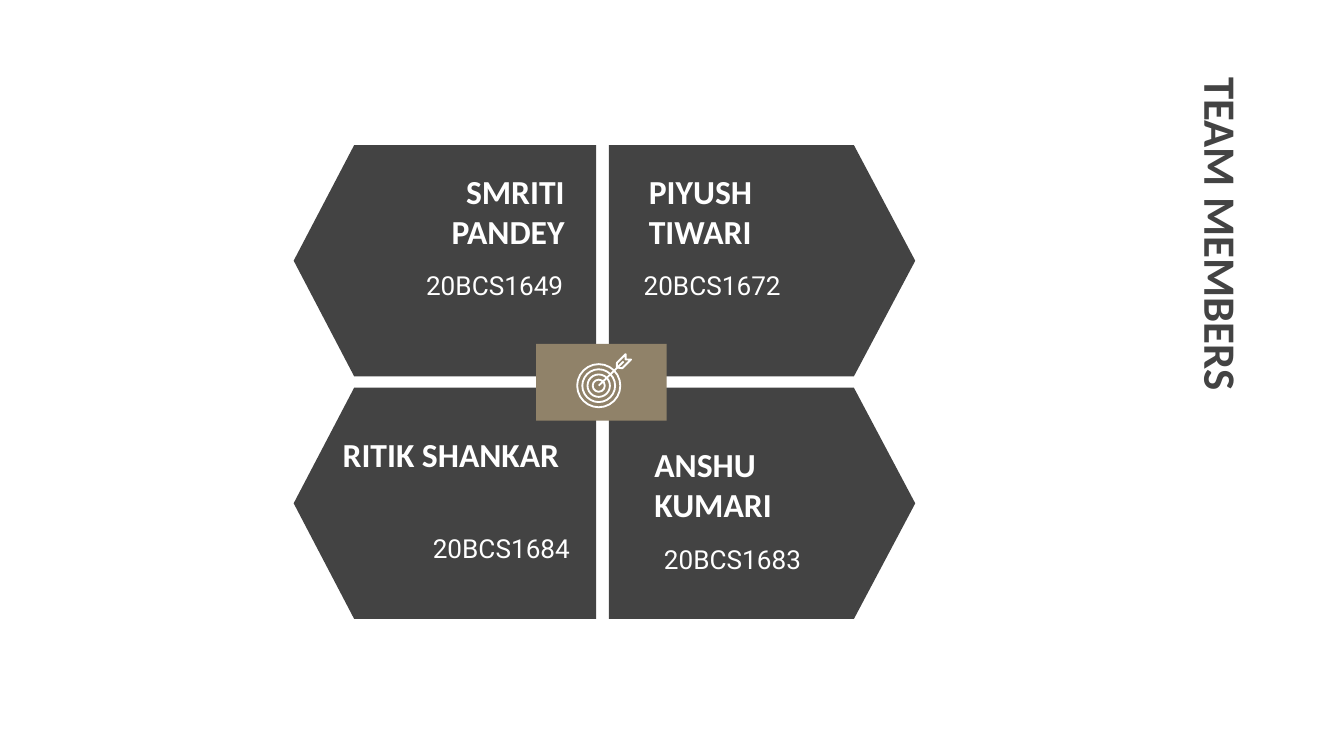
"""Build a slide that shows four team members around a target badge."""
from lxml import etree
from pptx import Presentation
from pptx.dml.color import RGBColor
from pptx.enum.shapes import MSO_CONNECTOR, MSO_SHAPE
from pptx.enum.text import MSO_ANCHOR, MSO_AUTO_SIZE, PP_ALIGN
from pptx.oxml.ns import qn
from pptx.util import Inches, Pt

CARD, RECT, OVAL = MSO_SHAPE.FLOWCHART_OFFPAGE_CONNECTOR, MSO_SHAPE.RECTANGLE, MSO_SHAPE.OVAL
LINE, TOP, FIXED = MSO_CONNECTOR.STRAIGHT, MSO_ANCHOR.TOP, MSO_AUTO_SIZE.NONE
LEFT, RIGHT = PP_ALIGN.LEFT, PP_ALIGN.RIGHT
COLOR = {name: RGBColor.from_string(code) for name, code in {
    "dark": "434343", "gold": "908269", "white": "FFFFFF"}.items()}

deck = Presentation()
deck.slide_width, deck.slide_height = Inches(10), Inches(5.625)
UNIT = deck.slide_width / 100
slide = deck.slides.add_slide(deck.slide_layouts[5])
shapes = slide.shapes


def grid(*cells):
    return [round(cell * UNIT) for cell in cells]


def write(box, text, font, size, color, bold, align):
    frame = box.text_frame
    frame.word_wrap, frame.auto_size, frame.vertical_anchor = True, FIXED, TOP
    frame.margin_left = frame.margin_right = frame.margin_top = frame.margin_bottom = Inches(0.1)
    frame.text = text
    para = frame.paragraphs[0]
    para.alignment = align
    para.font.name, para.font.size, para.font.bold = font, Pt(size), bold
    para.font.color.rgb = COLOR[color]
    return para


title = shapes.title
title.left, title.top, title.width, title.height = grid(75.4, 13.8, 27.6, 9.5)
title.rotation = 90
write(title, "TEAM MEMBERS", "Calibri", 24, "dark", True, LEFT)

# fmt: off
TEAM = [
    ("SMRITI PANDEY", (28.5, 11.7, 14.5), "20BCS1649", (28.4, 18.7), RIGHT, RIGHT),
    ("PIYUSH TIWARI", (47.3, 11.7, 13.7), "20BCS1672", (46.9, 18.7), LEFT, LEFT),
    ("RITIK SHANKAR", (23.4, 31.3, 19.2), "20BCS1684", (28.9, 38.3), RIGHT, RIGHT),
    ("ANSHU KUMARI", (47.7, 32, 14.8), "20BCS1683", (46.1, 39.1), LEFT, RIGHT),
]
SIDES = [(33.1, 22.5, 90), (56.7, 22.8, 270)]
ROWS = [19.4, 37.45]
TALL = 17.2

for i, (name, spot, code, place, side, edge) in enumerate(TEAM):
    mid, wide, turn = SIDES[i % 2]
    card = shapes.add_shape(CARD, *grid(mid - TALL / 2, ROWS[i // 2] - wide / 2, TALL, wide))
    card.rotation = turn
    card.shadow.inherit = False
    card.fill.solid()
    card.fill.fore_color.rgb = COLOR["dark"]
    card.line.fill.background()

    left, top, width = spot
    label = shapes.add_textbox(*grid(left, top, width, 4.2))
    write(label, name, "Calibri", 18, "white", True, side)
    number = shapes.add_textbox(*grid(*place, 14.5, 5))
    para = write(number, code, "Roboto", 14, "white", False, edge)
    para.line_spacing, para.space_after = 1.15, Pt(16)

badge = shapes.add_shape(RECT, *grid(39.9, 25.6, 9.7, 5.7))
badge.shadow.inherit = False
badge.fill.solid()
badge.fill.fore_color.rgb = COLOR["gold"]
badge.line.fill.background()

hub_x, hub_y = 44.55, 28.7
marks = []
for ring in range(4):
    size = 0.9 + 0.77 * ring
    marks.append(shapes.add_shape(OVAL, *grid(hub_x - size / 2, hub_y - size / 2, size, size)))

tail = [(45.9, 27.35), (45.9, 27), (46.55, 26.35), (46.55, 26.75), (46.95, 26.75), (46.3, 27.4)]
pen = shapes.build_freeform(*grid(*tail[0]))
pen.add_line_segments([grid(*point) for point in tail[1:]], close=True)
marks.append(pen.convert_to_shape())
for mark in marks:
    mark.shadow.inherit = False
    mark.fill.background()

shaft = shapes.add_connector(LINE, *grid(hub_x, hub_y, 46.4, 26.9))
etree.SubElement(shaft.line._get_or_add_ln().getparent(), qn("a:effectLst"))
for mark in marks + [shaft]:
    mark.line.color.rgb = COLOR["white"]
    mark.line.width = Pt(1)

deck.save("out.pptx")
